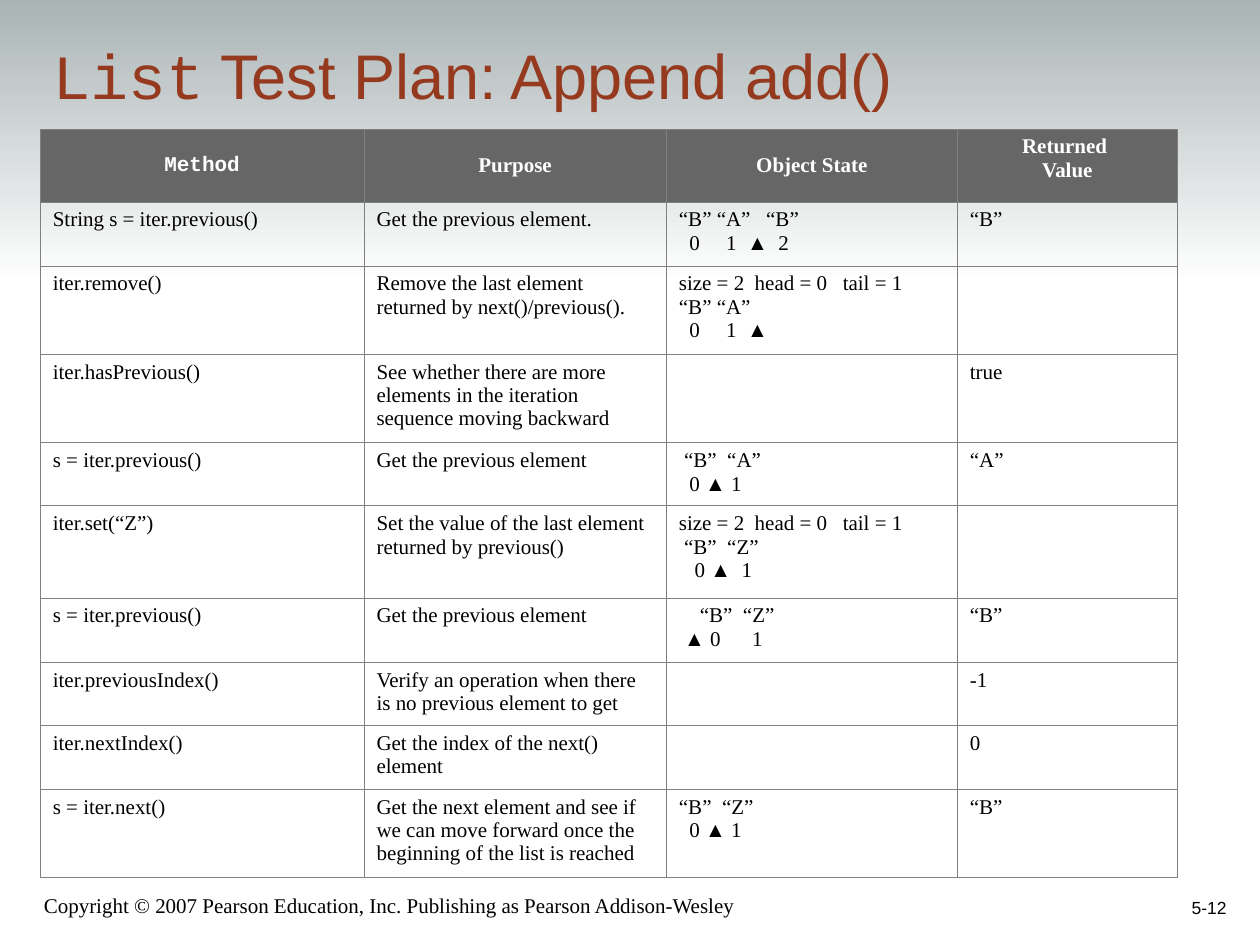
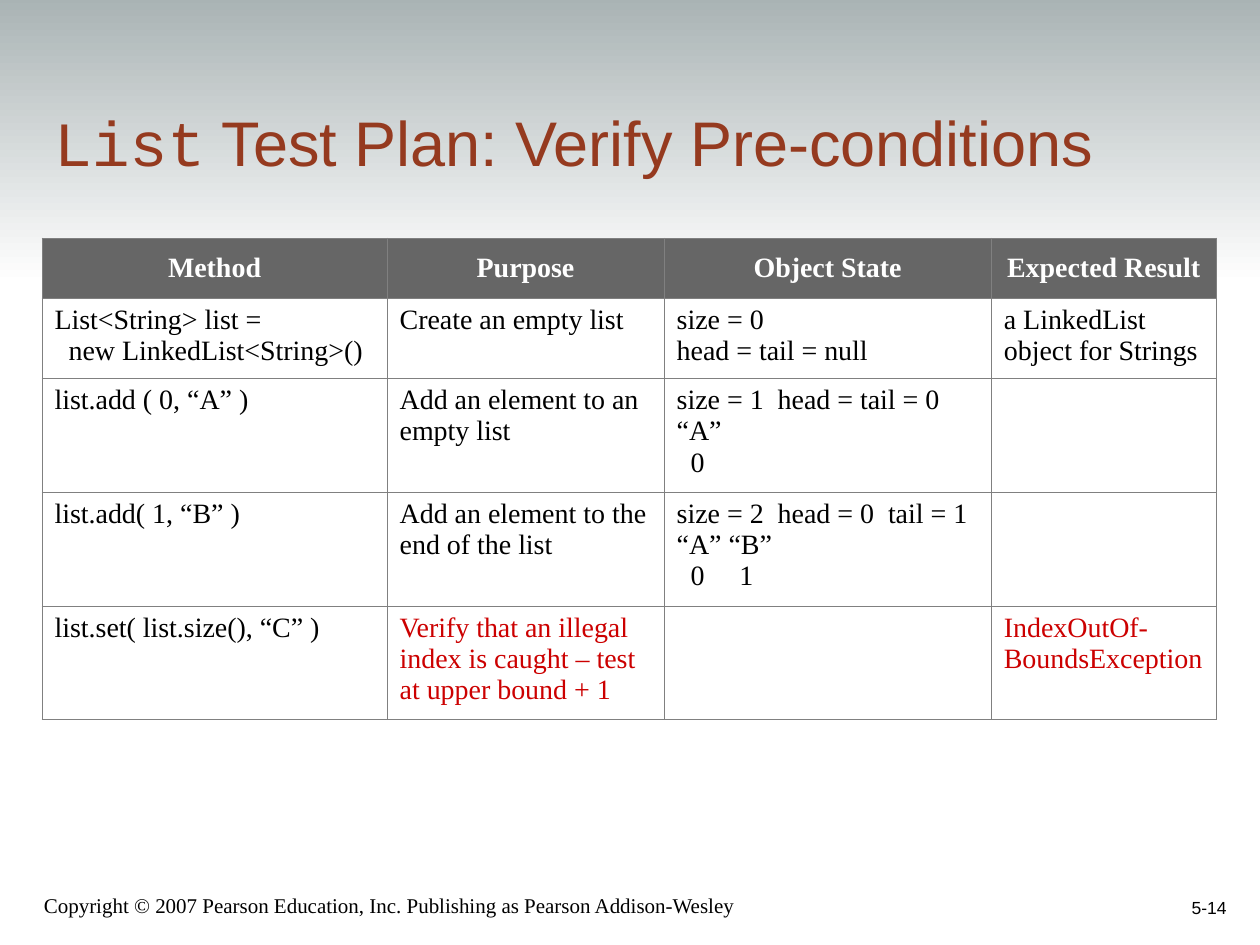
from dataclasses import dataclass

from lxml.etree import SubElement
from pptx import Presentation
from pptx.dml.color import RGBColor
from pptx.enum.shapes import MSO_SHAPE
from pptx.enum.text import MSO_ANCHOR, PP_ALIGN
from pptx.oxml.ns import qn
from pptx.util import Pt


@dataclass(frozen=True)
class Theme:
    band_top: str = "A7B1B2"
    white: str = "FFFFFF"
    black: str = "000000"
    title: str = "953A1F"
    header: str = "666666"
    border: str = "808080"
    alert: str = "CC0000"
    sans: str = "Arial"
    mono: str = "Courier New"
    serif: str = "Times New Roman"
    title_size: int = 36
    footer_size: int = 12
    number_size: int = 10
    border_width: float = 0.45


theme = Theme()
COPYRIGHT = "Copyright © 2007 Pearson Education, Inc. Publishing as Pearson Addison-Wesley"

# Cells hold lines split by "\n"; the first row of each table is its header.
slides = [
    {
        "number": "5-12",
        "title": " Test Plan: Append add()",
        "title_box": (23, 10, 610, 54),
        "origin": (23, 73.7),
        "size": 12,
        "cols": [185, 172.8, 166.3, 125.7],
        "heights": [41.7, 36.6, 50.4, 50.6, 36, 52.6, 37, 36, 36.4, 50.4],
        "mono_headers": {"Method"},
        "top_headers": {"Returned \nValue"},
        "alerts": set(),
        "rows": [
            ["Method", "Purpose", "Object State", "Returned \nValue"],
            ["String s = iter.previous()", "Get the previous element.",
             "“B” “A”   “B”\n  0     1  ▲  2", "“B”"],
            ["iter.remove()", "Remove the last element returned by next()/previous().",
             "size = 2  head = 0   tail = 1\n“B” “A”\n  0     1  ▲", ""],
            ["iter.hasPrevious()",
             "See whether there are more elements in the iteration sequence moving backward",
             "", "true"],
            ["s = iter.previous()", "Get the previous element", " “B”  “A”\n  0 ▲ 1", "“A”"],
            ["iter.set(“Z”)", "Set the value of the last element returned by previous()",
             "size = 2  head = 0   tail = 1\n “B”  “Z”\n   0 ▲  1", ""],
            ["s = iter.previous()", "Get the previous element",
             "    “B”  “Z”\n ▲ 0      1", "“B”"],
            ["iter.previousIndex()",
             "Verify an operation when there is no previous element to get", "", "-1"],
            ["iter.nextIndex()", "Get the index of the next() element", "", "0"],
            ["s = iter.next()",
             "Get the next element and see if we can move forward once "
             "the beginning of the list is reached",
             "“B”  “Z”\n  0 ▲ 1", "“B”"],
        ],
    },
    {
        "number": "5-14",
        "title": " Test Plan: Verify Pre-conditions",
        "title_box": (23.8, 23.8, 643, 78.5),
        "origin": (24, 136),
        "size": 16,
        "cols": [197.2, 158.3, 187, 128.5],
        "heights": [34.4, 45.9, 65, 65, 65],
        "mono_headers": set(),
        "top_headers": set(),
        "alerts": {(4, 1), (4, 3)},
        "rows": [
            ["Method", "Purpose", "Object State", "Expected Result"],
            ["List<String> list =\n  new LinkedList<String>()", "Create an empty list",
             "size = 0\nhead = tail = null", "a LinkedList object for Strings"],
            ["list.add ( 0, “A” )", "Add an element to an empty list",
             "size = 1  head = tail = 0\n“A”\n  0", ""],
            ["list.add( 1, “B” )", "Add an element to the end of the list",
             "size = 2  head = 0  tail = 1\n“A” “B”\n  0     1", ""],
            ["list.set( list.size(), “C” )",
             "Verify that an illegal index is caught – test at upper bound + 1",
             "", "IndexOutOf-BoundsException"],
        ],
    },
]


def add_run(p, text, size, font, color, bold=False):
    r = p.add_run()
    r.text = text
    r.font.size = Pt(size)
    r.font.name = font
    r.font.bold = bold
    r.font.color.rgb = RGBColor.from_string(color)


def add_label(s, box, align=PP_ALIGN.LEFT):
    """Add a bottom-anchored, wrapping text box and return its text frame."""
    tf = s.shapes.add_textbox(*map(Pt, box)).text_frame
    tf.word_wrap = True
    tf.vertical_anchor = MSO_ANCHOR.BOTTOM
    tf.paragraphs[0].alignment = align
    return tf


prs = Presentation()
prs.slide_width, prs.slide_height = Pt(720), Pt(540)

for data in slides:
    s = prs.slides.add_slide(prs.slide_layouts[6])
    s.background.fill.solid()
    s.background.fill.fore_color.rgb = RGBColor.from_string(theme.white)

    band = s.shapes.add_shape(MSO_SHAPE.RECTANGLE, Pt(0), Pt(-6), Pt(720), Pt(168))
    band.shadow.inherit = False
    band.line.fill.background()
    band.fill.gradient()
    band.fill.gradient_angle = 270
    for stop, color, position in zip(band.fill.gradient_stops,
                                     (theme.band_top, theme.white), (0, 1)):
        stop.color.rgb = RGBColor.from_string(color)
        stop.position = position

    tf = add_label(s, (18, 498, 438, 30))
    add_run(tf.paragraphs[0], COPYRIGHT, theme.footer_size, theme.serif, theme.black)
    tf = add_label(s, (558, 492, 150, 36), PP_ALIGN.RIGHT)
    add_run(tf.paragraphs[0], data["number"], theme.number_size, theme.sans, theme.black)

    tf = add_label(s, data["title_box"])
    tf.margin_top = tf.margin_bottom = 0
    add_run(tf.paragraphs[0], "List", theme.title_size, theme.mono, theme.title)
    add_run(tf.paragraphs[0], data["title"], theme.title_size, theme.sans, theme.title)

    rows, cols, heights = data["rows"], data["cols"], data["heights"]
    left, top = data["origin"]
    table = s.shapes.add_table(len(rows), len(cols), Pt(left), Pt(top),
                               Pt(sum(cols)), Pt(sum(heights))).table
    table.first_row = table.horz_banding = False
    for column, width in zip(table.columns, cols):
        column.width = Pt(width)
    for row, height in zip(table.rows, heights):
        row.height = Pt(height)

    for i, row in enumerate(rows):
        for j, text in enumerate(row):
            cell = table.cell(i, j)
            is_header = i == 0
            tcPr = cell._tc.get_or_add_tcPr()
            for side in ("lnL", "lnR", "lnT", "lnB"):
                ln = SubElement(tcPr, qn(f"a:{side}"), w=str(Pt(theme.border_width)))
                fill = SubElement(ln, qn("a:solidFill"))
                SubElement(fill, qn("a:srgbClr"), val=theme.border)

            font, color = theme.serif, theme.black
            if is_header:
                cell.fill.solid()
                cell.fill.fore_color.rgb = RGBColor.from_string(theme.header)
                color = theme.white
                if text in data["mono_headers"]:
                    font = theme.mono
                if text not in data["top_headers"]:
                    cell.vertical_anchor = MSO_ANCHOR.MIDDLE
            else:
                cell.fill.background()
                if (i, j) in data["alerts"]:
                    color = theme.alert

            tf = cell.text_frame
            for n, line in enumerate(text.split("\n")):
                p = tf.add_paragraph() if n else tf.paragraphs[0]
                p.alignment = PP_ALIGN.CENTER if is_header else PP_ALIGN.LEFT
                p.font.size = Pt(data["size"])
                for piece in filter(None, line.partition("▲")):
                    add_run(p, piece, data["size"], font, color, is_header or piece == "▲")

prs.save("out.pptx")
